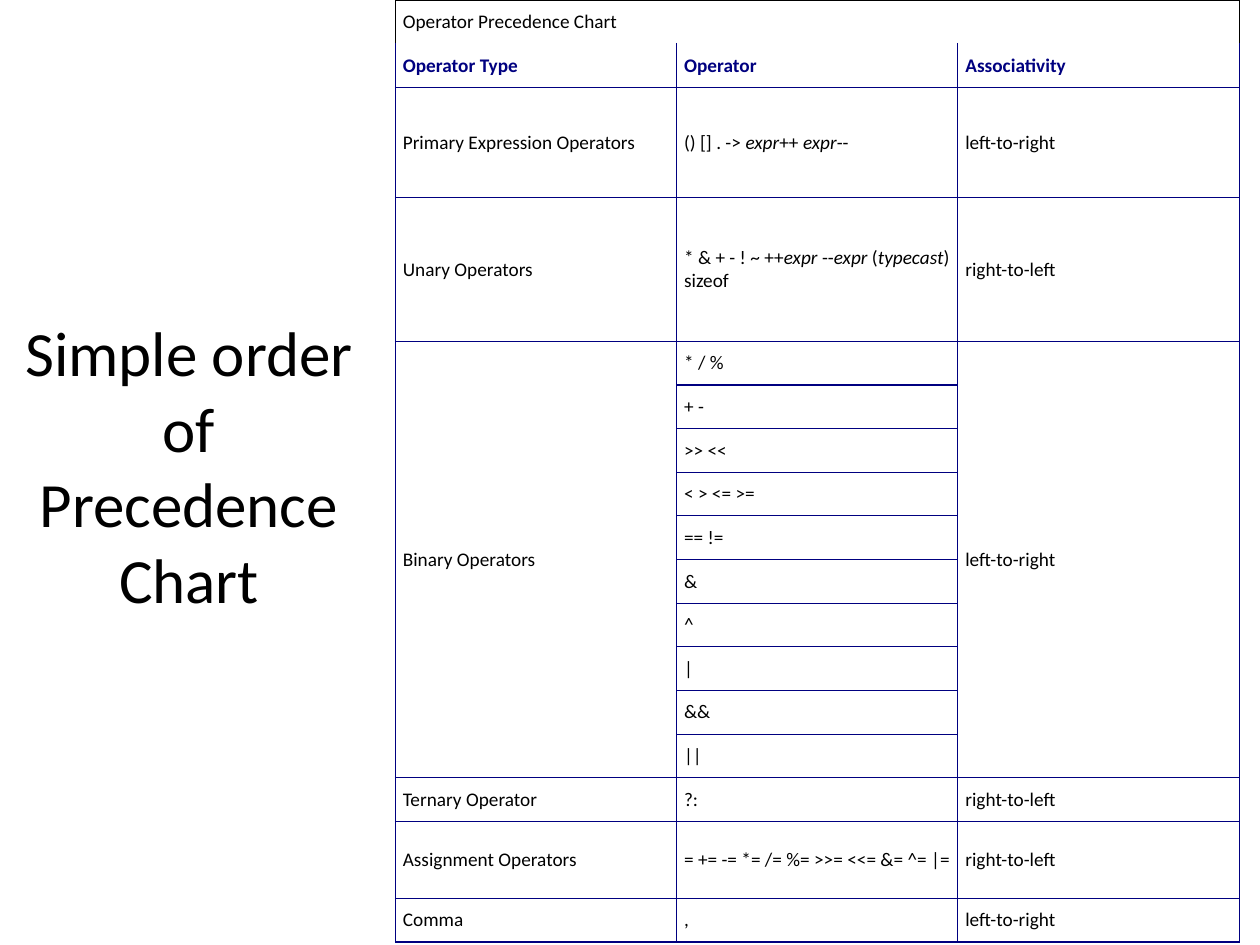
from lxml import etree
from pptx import Presentation
from pptx import util as u
from pptx.dml.color import RGBColor
from pptx.enum import text
from pptx.oxml import ns

BLACK = RGBColor(0x00, 0x00, 0x00)
NAVY = RGBColor(0x00, 0x00, 0x80)

LEFT_TO_RIGHT = "left-to-right"
RIGHT_TO_LEFT = "right-to-left"
ROW_HEIGHT = 0.88

# Operators: type, operator rows, associativity, row height in cm.
# An operator row is a string, or a list of pieces where every second one is italic.
OPERATOR_GROUPS = [
    ("Primary Expression Operators",
     [["() [] . -> ", "expr", "++ ", "expr", "--"]], LEFT_TO_RIGHT, 2.22),
    ("Unary Operators",
     [["* & + - ! ~ ++", "expr", " --", "expr", " (", "typecast", ") sizeof"]],
     RIGHT_TO_LEFT, 2.9),
    ("Binary Operators",
     ["* / %", "+ -", ">> <<", "< > <= >=", "== !=", "&", "^", "|", "&&", "||"],
     LEFT_TO_RIGHT, ROW_HEIGHT),
    ("Ternary Operator", ["?:"], RIGHT_TO_LEFT, ROW_HEIGHT),
    ("Assignment Operators", ["= += -= *= /= %= >>= <<= &= ^= |="],
     RIGHT_TO_LEFT, 1.55),
    ("Comma", [","], LEFT_TO_RIGHT, ROW_HEIGHT),
]


def write(frame, content, size=11, color=BLACK, bold=False, align=None,
          font="Calibri"):
    """Fill a text frame; in a list, every second piece is italic."""
    paragraph = frame.paragraphs[0]
    if align is not None:
        paragraph.alignment = align
    pieces = [content] if isinstance(content, str) else content
    for index, piece in enumerate(pieces):
        run = paragraph.add_run()
        run.text = piece
        run.font.name = font
        run.font.size = u.Pt(size)
        run.font.color.rgb = color
        run.font.bold = bold
        run.font.italic = index % 2 == 1


class SlideBuilder:
    border_width = u.Pt(0.75)

    def __init__(self, slide):
        self.slide = slide

    def text_box(self, content, left, top, width, height, **style):
        box = self.slide.shapes.add_textbox(
            u.Cm(left), u.Cm(top), u.Cm(width), u.Cm(height))
        box.text_frame.word_wrap = True
        box.text_frame.vertical_anchor = text.MSO_ANCHOR.MIDDLE
        write(box.text_frame, content, **style)

    def table(self, left, top, column_width, columns, heights):
        frame = self.slide.shapes.add_table(
            len(heights), columns, u.Cm(left), u.Cm(top),
            u.Cm(column_width * columns), u.Cm(sum(heights)))
        table = frame.table
        table.first_row = False
        table.horz_banding = False
        for column in table.columns:
            column.width = u.Cm(column_width)
        for row, height in zip(table.rows, heights):
            row.height = u.Cm(height)
        return table

    def cell(self, cell, content, **style):
        write(cell.text_frame, content, **style)

    def format_cell(self, cell, color, sides="LRTB"):
        cell.vertical_anchor = text.MSO_ANCHOR.MIDDLE
        cell.margin_left = u.Cm(0.15)
        cell.margin_right = u.Cm(0.14)
        cell.margin_top = cell.margin_bottom = u.Cm(0.08)
        properties = cell._tc.get_or_add_tcPr()
        for side in sides:
            line = etree.SubElement(properties, ns.qn(f"a:ln{side}"),
                                    w=str(self.border_width))
            fill = etree.SubElement(line, ns.qn("a:solidFill"))
            etree.SubElement(fill, ns.qn("a:srgbClr"), val=str(color))
        cell.fill.background()


def main():
    presentation = Presentation()
    presentation.slide_width = u.Cm(25.4)
    presentation.slide_height = u.Cm(19.05)
    slide = presentation.slides.add_slide(presentation.slide_layouts[6])
    builder = SlideBuilder(slide)

    # Title
    builder.text_box("Simple order of Precedence Chart", 0, 0.76, 7.62, 17.22,
                     size=36, align=text.PP_ALIGN.CENTER)

    # Table grid
    heights = [ROW_HEIGHT] * 2
    for _, operators, _, height in OPERATOR_GROUPS:
        heights += [height] * len(operators)
    table = builder.table(7.97, 0, 5.67, 3, heights)
    for row in range(len(heights)):
        for column in range(3):
            builder.format_cell(table.cell(row, column),
                                BLACK if row == 0 else NAVY,
                                "LRB" if row == 1 else "LRTB")

    # Heading rows
    table.cell(0, 0).merge(table.cell(0, 2))
    builder.cell(table.cell(0, 0), "Operator Precedence Chart")
    for column, heading in enumerate(["Operator Type", "Operator", "Associativity"]):
        builder.cell(table.cell(1, column), heading, color=NAVY, bold=True)

    # Operator groups
    first = 2
    for name, operators, associativity, _ in OPERATOR_GROUPS:
        last = first + len(operators) - 1
        for column, content in ((0, name), (2, associativity)):
            if last > first:
                table.cell(first, column).merge(table.cell(last, column))
            builder.cell(table.cell(first, column), content)
        for row, operator in enumerate(operators, first):
            builder.cell(table.cell(row, 1), operator)
        first = last + 1

    presentation.save("out.pptx")


if __name__ == "__main__":
    main()
